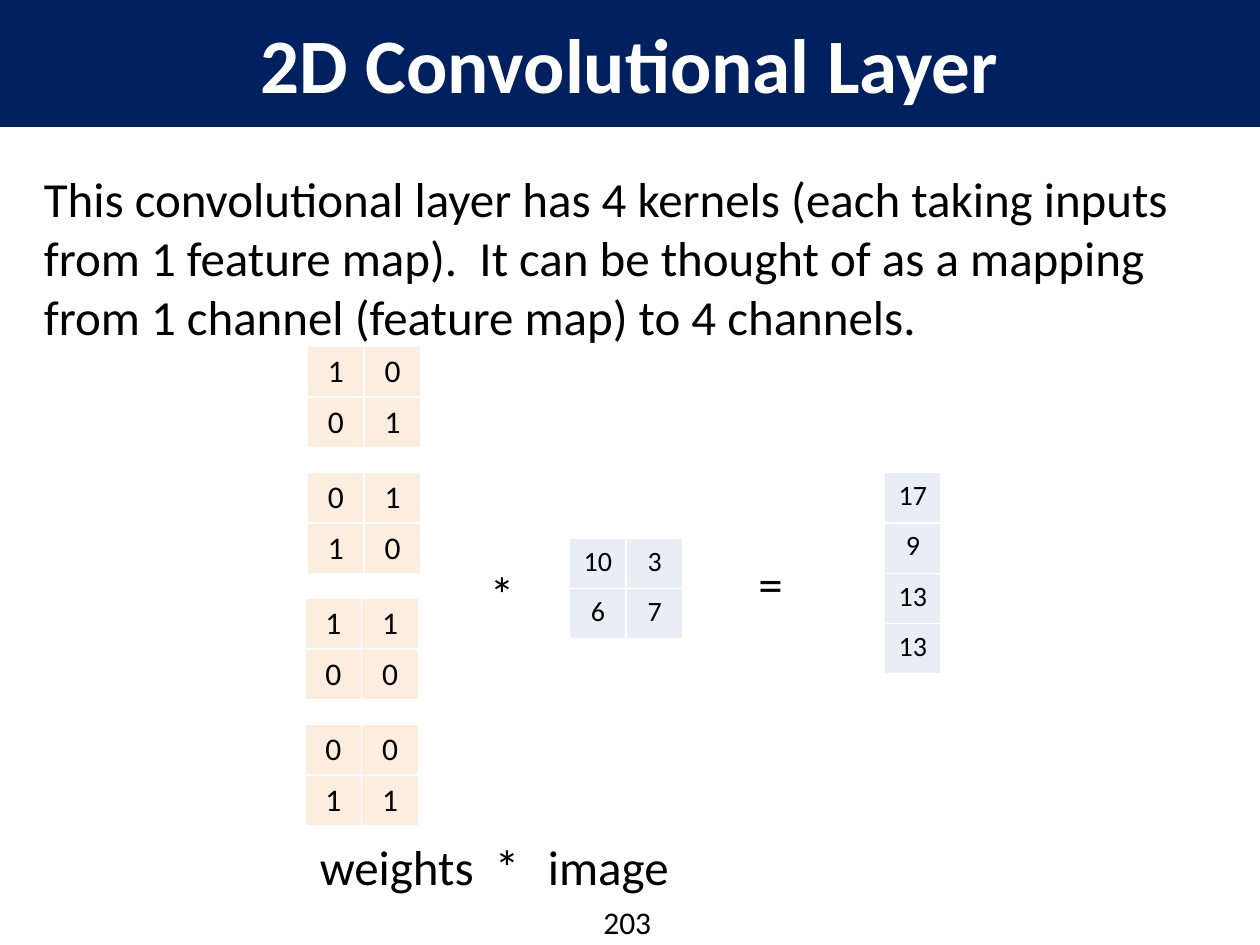
"""Build the 2D convolutional layer slide: four kernels applied to one image."""
from pptx import Presentation
from pptx.dml.color import RGBColor
from pptx.enum.text import MSO_ANCHOR, MSO_AUTO_SIZE, PP_ALIGN
from pptx.oxml import parse_xml
from pptx.oxml.ns import nsdecls, qn
from pptx.util import Inches, Pt

FONT = "Calibri"
NAVY = RGBColor(0x00, 0x20, 0x60)
WHITE = RGBColor(0xFF, 0xFF, 0xFF)
BLACK = RGBColor(0x00, 0x00, 0x00)
ORANGE = RGBColor(0xF7, 0x96, 0x46)
PALE_BLUE = RGBColor(0xE9, 0xED, 0xF4)
KERNEL_OPACITY = 17
CELL_W, ROW_H = 0.45, 0.4
KERNEL_TOP, KERNEL_PITCH = 2.75, 1

TITLE = "2D Convolutional Layer"
INTRO = (
    "This convolutional layer has 4 kernels (each taking inputs from 1 feature map).  "
    "It can be thought of as a mapping from 1 channel (feature map) to 4 channels."
)
TEXTS = [
    (INTRO, 0.25, 1.29, 9.5, 1.51, 28),
    ("weights", 2.44, 6.59, 1.5, 0.57, 28),
    ("*", 3.83, 6.59, 0.38, 0.57, 28),
    ("image", 4.25, 6.59, 1.5, 0.57, 28),
    ("*", 3.79, 4.42, 0.38, 0.57, 28),
    ("=", 5.92, 4.34, 1.5, 0.57, 28),
    ("203", 4.69, 7.12, 0.72, 0.4, 18),
]
KERNELS = [
    (2.44, [[1, 0], [0, 1]]),
    (2.44, [[0, 1], [1, 0]]),
    (2.42, [[1, 1], [0, 0]]),
    (2.42, [[0, 0], [1, 1]]),
]
IMAGE = (4.52, 4.27, [[10, 3], [6, 7]])
OUTPUT = (7.02, 3.75, [[17], [9], [13], [13]])


def set_font(p, size, color=BLACK, bold=False):
    p.font.name, p.font.size, p.font.bold = FONT, Pt(size), bold
    p.font.color.rgb = color


def add_title(slide):
    s = slide.shapes.title
    s.left, s.top, s.width, s.height = 0, 0, Inches(10), Inches(1)
    s.fill.solid()
    s.fill.fore_color.rgb = NAVY
    s.line.color.rgb = NAVY
    s.line.width = Pt(0.75)
    tf = s.text_frame
    tf.text = TITLE
    tf.vertical_anchor = MSO_ANCHOR.MIDDLE
    p = tf.paragraphs[0]
    p.alignment = PP_ALIGN.CENTER
    set_font(p, 44, WHITE, True)


def add_text(slide, text, x, y, w, h, size):
    s = slide.shapes.add_textbox(Inches(x), Inches(y), Inches(w), Inches(h))
    tf = s.text_frame
    tf.word_wrap = True
    tf.auto_size = MSO_AUTO_SIZE.SHAPE_TO_FIT_TEXT
    tf.text = text
    set_font(tf.paragraphs[0], size)


def style_cell(cell, color, opacity):
    tc_pr = cell._tc.get_or_add_tcPr()
    for side in ("lnL", "lnR", "lnT", "lnB"):
        tc_pr.append(parse_xml(
            f'<a:{side} {nsdecls("a")} w="12700"><a:solidFill>'
            f'<a:srgbClr val="{WHITE}"/></a:solidFill></a:{side}>'
        ))
    cell.fill.solid()
    cell.fill.fore_color.rgb = color
    if opacity < 100:
        fill = tc_pr.find(qn("a:solidFill"))
        fill[0].append(parse_xml(f'<a:alpha {nsdecls("a")} val="{opacity * 1000}"/>'))


def add_matrix(slide, x, y, values, color, size, opacity=100):
    rows, cols = len(values), len(values[0])
    table = slide.shapes.add_table(
        rows, cols, Inches(x), Inches(y), Inches(cols * CELL_W), Inches(rows * ROW_H)
    ).table
    table.first_row = table.horz_banding = False
    for i, row in enumerate(values):
        for j, value in enumerate(row):
            cell = table.cell(i, j)
            cell.text = str(value)
            p = cell.text_frame.paragraphs[0]
            p.alignment = PP_ALIGN.CENTER
            set_font(p, size)
            style_cell(cell, color, opacity)


def main():
    prs = Presentation()
    prs.slide_width, prs.slide_height = Inches(10), Inches(7.5)
    slide = prs.slides.add_slide(prs.slide_layouts[5])
    add_title(slide)
    for item in TEXTS:
        add_text(slide, *item)
    for i, (x, values) in enumerate(KERNELS):
        y = KERNEL_TOP + i * KERNEL_PITCH
        add_matrix(slide, x, y, values, ORANGE, 18, KERNEL_OPACITY)
    for matrix in (IMAGE, OUTPUT):
        add_matrix(slide, *matrix, PALE_BLUE, 16)
    prs.save("out.pptx")


if __name__ == "__main__":
    main()
